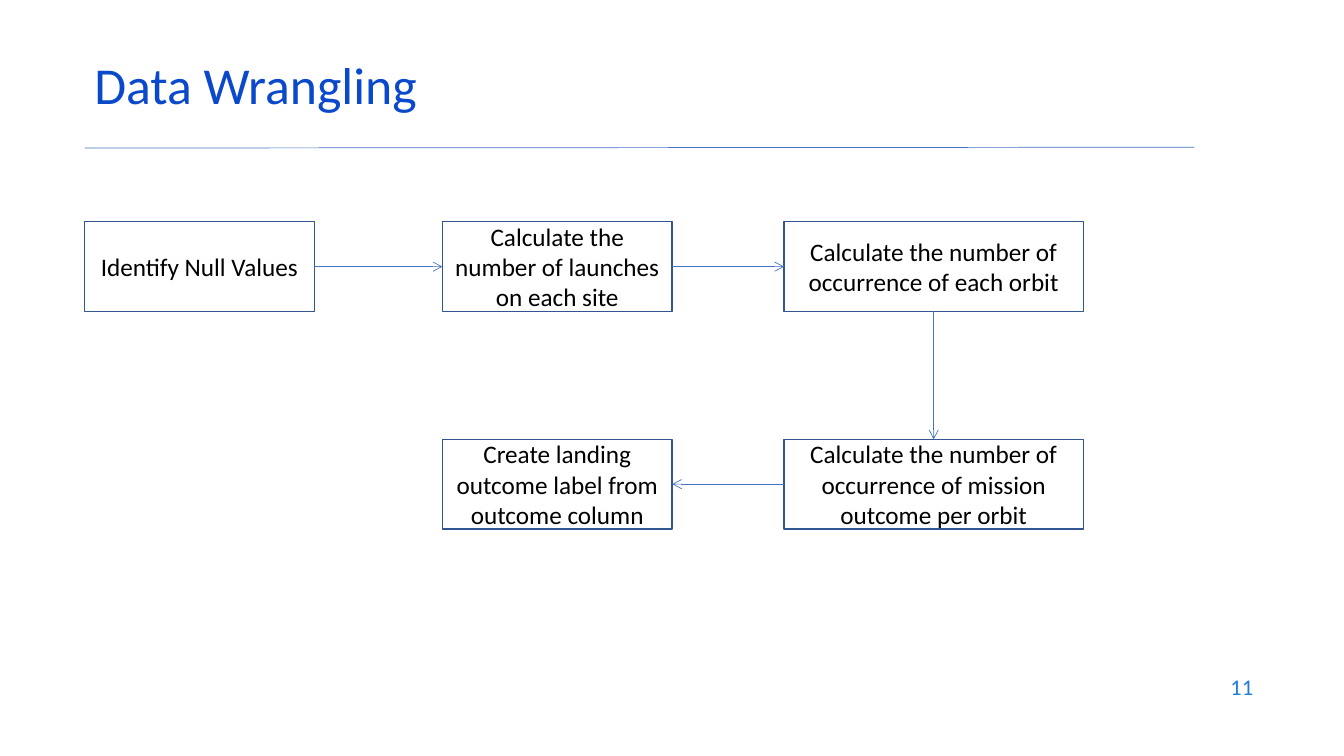
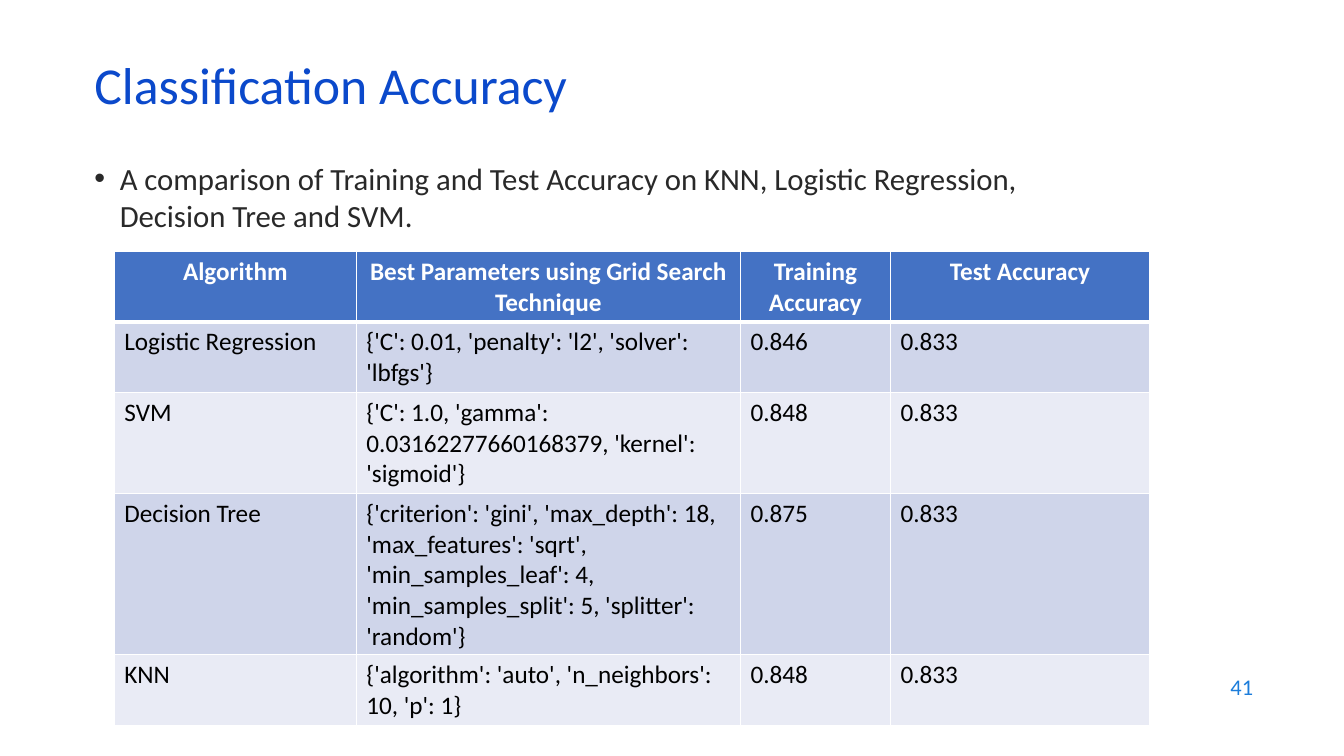
from dataclasses import dataclass

from lxml.etree import SubElement
from pptx import Presentation
from pptx.dml.color import RGBColor
from pptx.enum.shapes import MSO_CONNECTOR as Connector, MSO_SHAPE as Shape
from pptx.enum.text import MSO_ANCHOR as Anchor, PP_ALIGN as Align
from pptx.oxml.ns import qn
from pptx.util import Cm, Pt

# Shared look
FONT = "Calibri"
TITLE, NUMBER, BODY = "0B49CB", "1C7DDB", "292929"
ACCENT, OUTLINE = "4472C4", "325491"
BLACK, WHITE = "000000", "FFFFFF"
BANDS = ("CFD5EA", "E9EBF5")
LEFT = 2.13

# Flowchart grid
BOX_HEIGHT = 2.26
COLUMNS = ((LEFT, 5.79), (11.15, 5.79), (19.76, 7.54))  # left, width
ROWS = (5.59, 11.07)
TOP, WEST, BOTTOM, EAST = range(4)  # connection sites of a rectangle


@dataclass(frozen=True)
class Step:
    text: str
    column: int
    row: int


@dataclass(frozen=True)
class Arrow:
    start: int
    start_site: int
    end: int
    end_site: int


STEPS = (
    Step("Identify Null Values", 0, 0),
    Step("Calculate the number of launches on each site", 1, 0),
    Step("Calculate the number of occurrence of each orbit", 2, 0),
    Step("Calculate the number of occurrence of mission outcome per orbit", 2, 1),
    Step("Create landing outcome label from outcome column", 1, 1),
)
ARROWS = (
    Arrow(0, EAST, 1, WEST),
    Arrow(1, EAST, 2, WEST),
    Arrow(2, BOTTOM, 3, TOP),
    Arrow(3, WEST, 4, EAST),
)

TABLE_WIDTHS = (6.1, 9.68, 3.78, 6.53)
TABLE_ROW_HEIGHT = 1.19
TABLE = (
    ("Algorithm", "Best Parameters using Grid Search Technique",
     "Training Accuracy", "Test Accuracy"),
    ("Logistic Regression", "{'C': 0.01, 'penalty': 'l2', 'solver': 'lbfgs'}",
     "0.846", "0.833"),
    ("SVM", "{'C': 1.0, 'gamma': 0.03162277660168379, 'kernel': 'sigmoid'}",
     "0.848", "0.833"),
    ("Decision Tree",
     "{'criterion': 'gini', 'max_depth': 18, 'max_features': 'sqrt', "
     "'min_samples_leaf': 4, 'min_samples_split': 5, 'splitter': 'random'}",
     "0.875", "0.833"),
    ("KNN", "{'algorithm': 'auto', 'n_neighbors': 10, 'p': 1}",
     "0.848", "0.833"),
)


def color(value: str) -> RGBColor:
    return RGBColor.from_string(value)


def write(frame, text: str, *, size: float = 18, ink: str = BLACK,
          bold: bool = False, align=Align.LEFT, anchor=None,
          line_spacing: float | None = None, bullet: str = "") -> None:
    """Put one formatted paragraph into a text frame."""
    frame.word_wrap = True
    if anchor is not None:
        frame.vertical_anchor = anchor
    para = frame.paragraphs[0]
    para.alignment = align
    if line_spacing:
        para.line_spacing = line_spacing
    if bullet:
        properties = para._p.get_or_add_pPr()
        properties.set("marL", str(Cm(0.64)))
        properties.set("indent", str(-Cm(0.64)))
        SubElement(properties, qn("a:buFont"), typeface="Arial")
        SubElement(properties, qn("a:buChar"), char=bullet)
    span = para.add_run()
    span.text = text
    span.font.name = FONT
    span.font.size = Pt(size)
    span.font.bold = bold
    span.font.color.rgb = color(ink)


def add_text(page, text: str, left: float, top: float, width: float,
             height: float, **style) -> None:
    box = page.shapes.add_textbox(Cm(left), Cm(top), Cm(width), Cm(height))
    write(box.text_frame, text, **style)


def add_line(page, start=(0, 0), end=(0, 0), arrow: bool = False):
    line = page.shapes.add_connector(
        Connector.STRAIGHT, *(Cm(value) for value in (*start, *end)))
    line.line.color.rgb = color(ACCENT)
    line.line.width = Pt(0.5)
    if arrow:
        SubElement(line.line._get_or_add_ln(), qn("a:tailEnd"), type="arrow")
    SubElement(line._element.spPr, qn("a:effectLst"))
    return line


def add_page(deck, title: str, number: int):
    """Start a slide with the shared title and slide number."""
    page = deck.slides.add_slide(deck.slide_layouts[6])
    add_text(page, title, LEFT, 1.5, 29.21, 1.52, size=37, ink=TITLE,
             anchor=Anchor.MIDDLE, line_spacing=0.8)
    add_text(page, str(number), 24.21, 16.74, 7.62, 1.12, size=16, ink=NUMBER,
             align=Align.RIGHT, anchor=Anchor.MIDDLE)
    return page


def add_step(page, step: Step):
    left, width = COLUMNS[step.column]
    box = page.shapes.add_shape(Shape.RECTANGLE, Cm(left), Cm(ROWS[step.row]),
                                Cm(width), Cm(BOX_HEIGHT))
    box.shadow.inherit = False
    box.fill.background()
    box.line.color.rgb = color(OUTLINE)
    box.line.width = Pt(1)
    write(box.text_frame, step.text, align=Align.CENTER, anchor=Anchor.MIDDLE)
    return box


def set_borders(cell, top: float, bottom: float) -> None:
    """Draw white cell borders; must precede the cell fill."""
    properties = cell._tc.get_or_add_tcPr()
    for side, width in (("L", 1), ("R", 1), ("T", top), ("B", bottom)):
        border = SubElement(properties, qn(f"a:ln{side}"), w=str(Pt(width)))
        fill = SubElement(border, qn("a:solidFill"))
        SubElement(fill, qn("a:srgbClr"), val=WHITE)


def add_accuracy_table(page, left: float, top: float) -> None:
    table = page.shapes.add_table(
        len(TABLE), len(TABLE_WIDTHS), Cm(left), Cm(top),
        Cm(sum(TABLE_WIDTHS)), Cm(TABLE_ROW_HEIGHT * len(TABLE))).table
    for column, width in zip(table.columns, TABLE_WIDTHS):
        column.width = Cm(width)
    for index, values in enumerate(TABLE):
        header = index == 0
        for cell, text in zip(table.rows[index].cells, values):
            set_borders(cell, top=3 if index == 1 else 1,
                        bottom=3 if header else 1)
            cell.fill.solid()
            cell.fill.fore_color.rgb = color(
                ACCENT if header else BANDS[(index - 1) % 2])
            write(cell.text_frame, text, bold=header,
                  ink=WHITE if header else BLACK,
                  align=Align.CENTER if header else Align.LEFT)


def build_wrangling(deck) -> None:
    page = add_page(deck, "Data Wrangling", 11)
    add_line(page, (LEFT, 3.73), (30.1, 3.71))
    boxes = [add_step(page, step) for step in STEPS]
    for arrow in ARROWS:
        line = add_line(page, arrow=True)
        line.begin_connect(boxes[arrow.start], arrow.start_site)
        line.end_connect(boxes[arrow.end], arrow.end_site)


def build_accuracy(deck) -> None:
    page = add_page(deck, "Classification Accuracy", 41)
    add_text(page, "A comparison of Training and Test Accuracy on KNN, "
             "Logistic Regression, Decision Tree and SVM.",
             LEFT, 3.89, 26.09, 2.46, size=22, ink=BODY, bullet="•")
    add_accuracy_table(page, 2.88, 6.33)


def main() -> None:
    deck = Presentation()
    deck.slide_width, deck.slide_height = Cm(33.87), Cm(19.05)
    build_wrangling(deck)
    build_accuracy(deck)
    deck.save("out.pptx")


if __name__ == "__main__":
    main()
